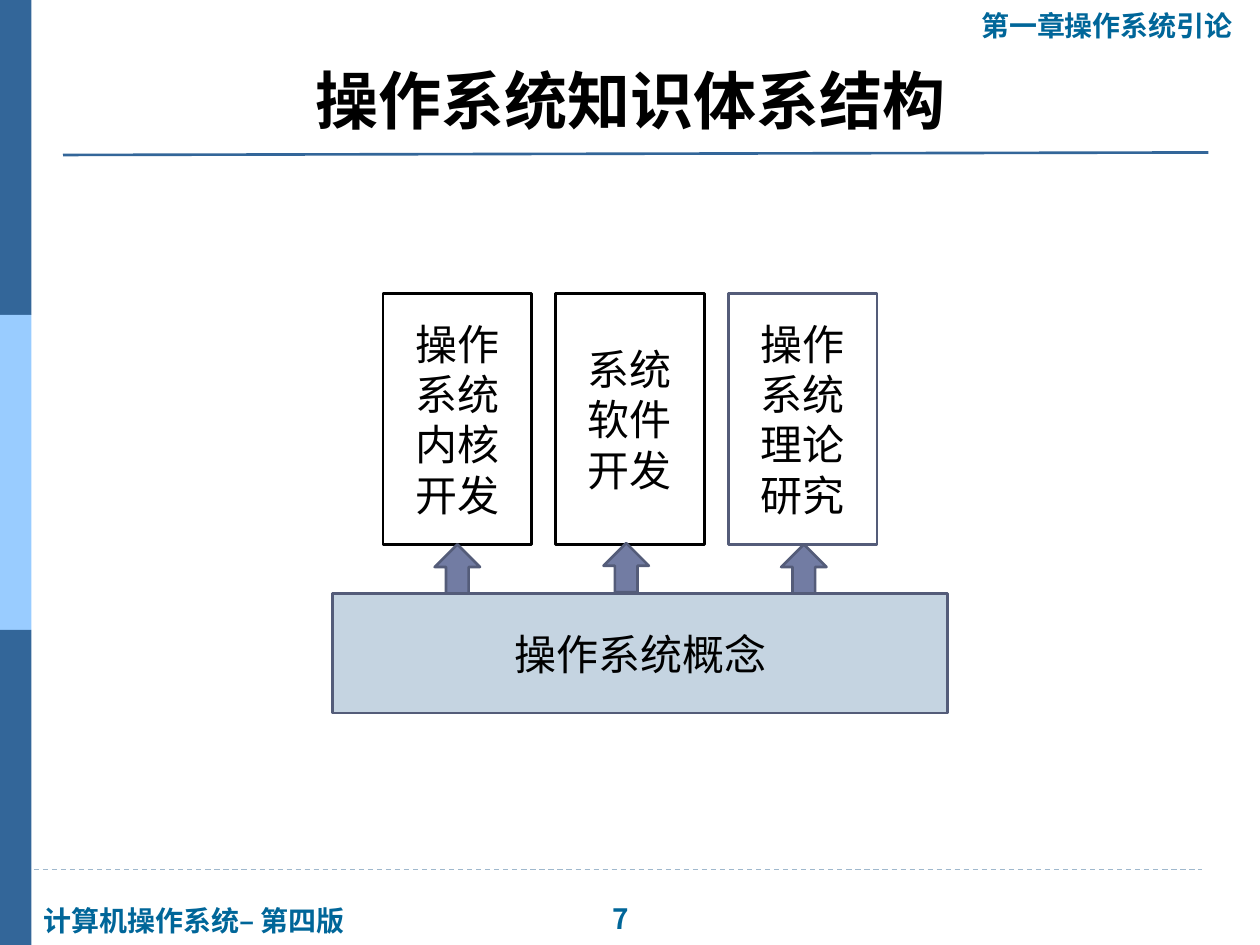
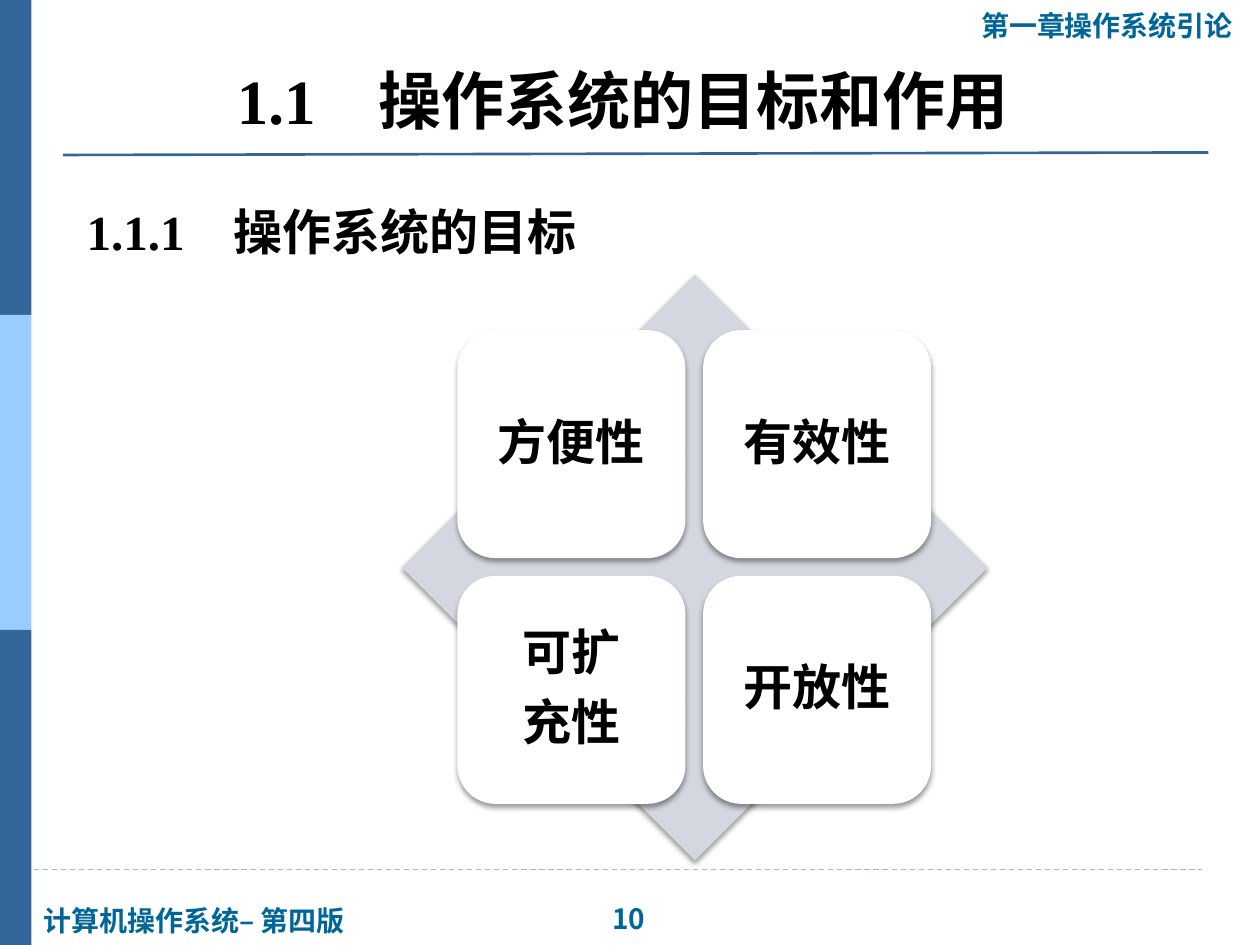
from lxml.etree import SubElement
from pptx import Presentation
from pptx.dml.color import RGBColor
from pptx.enum.dml import MSO_LINE
from pptx.enum.lang import MSO_LANGUAGE_ID
from pptx.enum.shapes import MSO_CONNECTOR, MSO_SHAPE
from pptx.enum.text import MSO_ANCHOR, MSO_AUTO_SIZE, PP_ALIGN
from pptx.oxml.ns import qn
from pptx.util import Inches, Pt

# Content
CHAPTER = "第一章操作系统引论"
BOOK = "计算机操作系统– 第四版"
EAST_ASIAN = "Noto Sans CJK JP"
TITLE_FONT = "TeX Gyre Bonum"
NUMBER_FONT = "Times New Roman"

STRUCTURE_TITLE = [("操作系统知识体系结构", TITLE_FONT)]
FOUNDATION = "操作系统概念"
# topic, outline colour, left and top of its arrow
TOPICS = [
    ("操作系统内核开发", "black", 3.45, 4.32),
    ("系统软件开发", "black", 4.79, 4.31),
    ("操作系统理论研究", "slate", 6.2, 4.32),
]

GOALS_TITLE = [("1.1　", NUMBER_FONT), ("操作系统的目标和作用 ", TITLE_FONT)]
GOALS_HEADING = "1.1.1　操作系统的目标"
GOALS = [["方便性"], ["有效性"], ["可扩", "充性"], ["开放性"]]

COLORS = {
    "black": "000000",
    "white": "FFFFFF",
    "teal": "006699",
    "band": "336699",
    "band_light": "99CCFF",
    "footer_rule": "9FB8CD",
    "slate": "545C79",
    "arrow": "727CA3",
    "foundation": "C5D4E1",
    "diamond": "D5D7E0",
}


def color(name):
    return RGBColor.from_string(COLORS[name])


def write(frame, paragraphs, size, font="Calibri", ink="black", bold=False,
          align=PP_ALIGN.LEFT, anchor=MSO_ANCHOR.TOP, inset=None,
          line_spacing=None, space_after=None):
    """Fill a frame; a paragraph is a string or a list of (text, font) pairs."""
    frame.word_wrap = True
    frame.auto_size = MSO_AUTO_SIZE.NONE
    frame.vertical_anchor = anchor
    if inset is not None:
        frame.margin_left = frame.margin_right = Inches(inset)
        frame.margin_top = frame.margin_bottom = Inches(inset)
    for index, content in enumerate(paragraphs):
        paragraph = frame.paragraphs[0] if index == 0 else frame.add_paragraph()
        paragraph.alignment = align
        paragraph.line_spacing = line_spacing
        paragraph.space_after = space_after
        pieces = [(content, font)] if isinstance(content, str) else content
        for text, face in pieces:
            run = paragraph.add_run()
            run.text = text
            run.font.size = Pt(size)
            run.font.bold = bold
            run.font.color.rgb = color(ink)
            run.font.name = face
            run.font.language_id = MSO_LANGUAGE_ID.SIMPLIFIED_CHINESE
            SubElement(run.font._element, qn("a:ea"), typeface=EAST_ASIAN)


def add_label(slide, text, left, top, width, height, **style):
    box = slide.shapes.add_textbox(*map(Inches, (left, top, width, height)))
    write(box.text_frame, [text], **style)


def add_block(slide, kind, left, top, width, height, fill=None, line=None):
    block = slide.shapes.add_shape(kind, *map(Inches, (left, top, width, height)))
    block.shadow.inherit = False
    if fill:
        block.fill.solid()
        block.fill.fore_color.rgb = color(fill)
    else:
        block.fill.background()
    if line:
        block.line.color.rgb = color(line)
        block.line.width = Pt(1.5)
    else:
        block.line.fill.background()
    return block


def add_soft_shadow(block):
    effects = block._element.spPr.find(qn("a:effectLst"))
    shadow = SubElement(effects, qn("a:outerShdw"), blurRad=str(Pt(3)),
                        dist=str(Pt(2)), dir="5400000", rotWithShape="0")
    black = SubElement(shadow, qn("a:srgbClr"), val=COLORS["black"])
    SubElement(black, qn("a:alpha"), val="40000")


def add_rule(slide, start, end, ink, width, dash=None):
    rule = slide.shapes.add_connector(
        MSO_CONNECTOR.STRAIGHT, *map(Inches, (*start, *end)))
    rule.line.color.rgb = color(ink)
    rule.line.width = Pt(width)
    if dash:
        rule.line.dash_style = dash
    SubElement(rule._element.spPr, qn("a:effectLst"))


def add_framed_slide(prs, title, number):
    """Start a slide with the shared bands, rules, labels and title."""
    slide = prs.slides.add_slide(prs.slide_layouts[5])
    label_style = dict(size=16, ink="teal", bold=True)
    add_label(slide, CHAPTER, 7.69, 0.02, 2.23, 0.37, font="Arial", **label_style)
    add_rule(slide, (-0.09, 6.9), (9.54, 6.9), "footer_rule", 0.75, MSO_LINE.DASH)
    for row, fill in enumerate(["band", "band_light", "band"]):
        add_block(slide, MSO_SHAPE.RECTANGLE, 0, row * 2.5, 0.25, 2.5, fill)
    add_rule(slide, (0.5, 1.23), (9.59, 1.21), "band", 1.5)
    add_label(slide, BOOK, 0.25, 7.12, 2.65, 0.37, font="Arial", **label_style)
    add_label(slide, number, 4.76, 7.11, 0.54, 0.37, font=EAST_ASIAN, **label_style)

    heading = slide.shapes.title
    heading.left, heading.top = Inches(0.5), Inches(0.41)
    heading.width, heading.height = Inches(9), Inches(0.73)
    write(heading.text_frame, [title], size=36, bold=True,
          align=PP_ALIGN.CENTER, anchor=MSO_ANCHOR.BOTTOM)
    return slide


def build_structure(prs):
    slide = add_framed_slide(prs, STRUCTURE_TITLE, "7")
    style = dict(size=24, align=PP_ALIGN.CENTER, anchor=MSO_ANCHOR.MIDDLE)
    # Topics standing on the foundation
    for column, (topic, outline, _, _) in enumerate(TOPICS):
        block = add_block(slide, MSO_SHAPE.RECTANGLE, 3.04 + column * 1.37, 2.33,
                          1.18, 1.99, line=outline)
        write(block.text_frame, [topic], **style)
    foundation = add_block(slide, MSO_SHAPE.RECTANGLE, 2.64, 4.71, 4.88, 0.95,
                           "foundation", "slate")
    write(foundation.text_frame, [FOUNDATION], **style)
    for _, _, left, top in TOPICS:
        add_block(slide, MSO_SHAPE.UP_ARROW, left, top, 0.36, 0.39, "arrow", "slate")


def build_goals(prs):
    slide = add_framed_slide(prs, GOALS_TITLE, "10")
    # Four goals in a two by two grid over a diamond
    add_soft_shadow(add_block(slide, MSO_SHAPE.DIAMOND, 3.19, 2.18, 4.65, 4.65,
                              "diamond"))
    for index, goal in enumerate(GOALS):
        row, column = divmod(index, 2)
        tile = add_block(slide, MSO_SHAPE.ROUNDED_RECTANGLE, 3.63 + column * 1.95,
                         2.62 + row * 1.95, 1.81, 1.81, "white")
        add_soft_shadow(tile)
        write(tile.text_frame, goal, size=28, bold=True, align=PP_ALIGN.CENTER,
              anchor=MSO_ANCHOR.MIDDLE, inset=0.12, line_spacing=0.9,
              space_after=Pt(10))
    add_label(slide, GOALS_HEADING, 0.59, 1.55, 4.14, 0.57, size=28,
              font=NUMBER_FONT, bold=True)


def main():
    prs = Presentation()
    prs.slide_width, prs.slide_height = Inches(10), Inches(7.5)
    build_structure(prs)
    build_goals(prs)
    prs.save("out.pptx")


if __name__ == "__main__":
    main()
